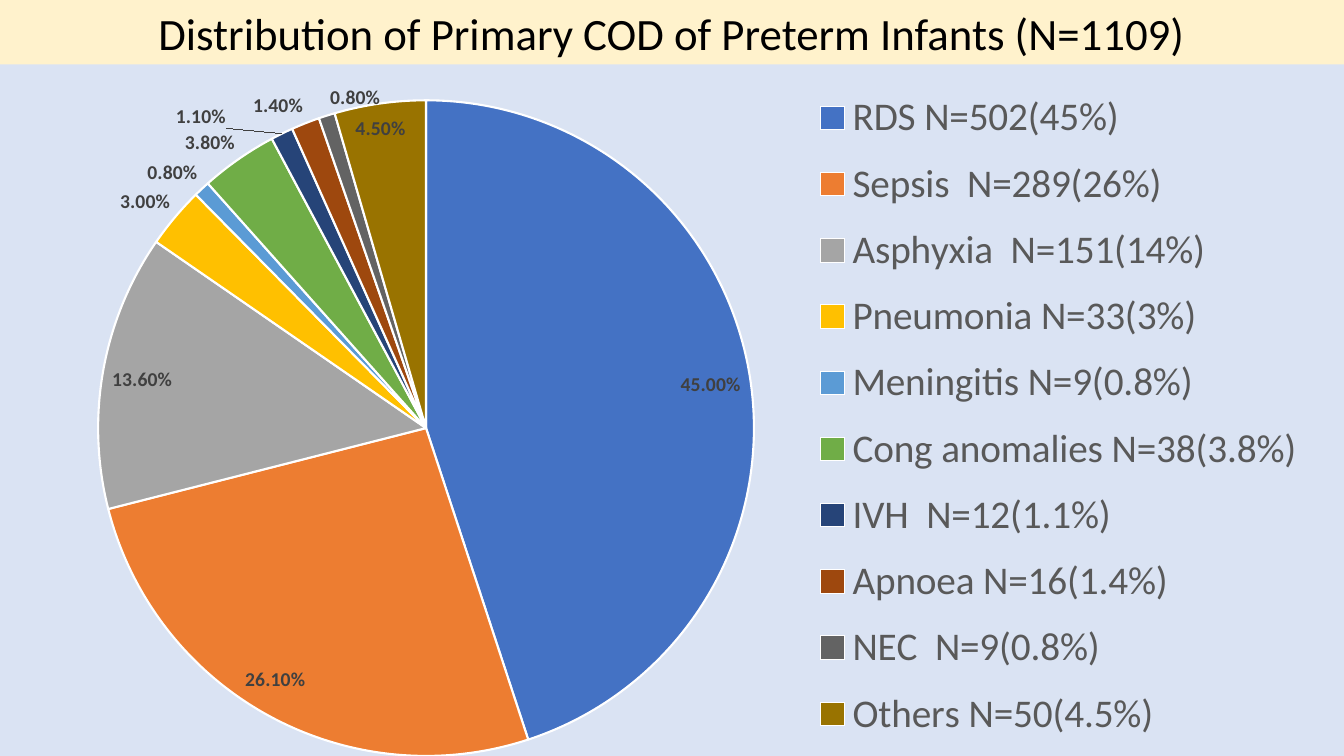
from lxml.etree import SubElement
from pptx import Presentation
from pptx.chart.data import CategoryChartData
from pptx.dml.color import RGBColor
from pptx.enum.chart import XL_CHART_TYPE, XL_LABEL_POSITION, XL_LEGEND_POSITION
from pptx.enum.text import MSO_ANCHOR, PP_ALIGN
from pptx.oxml import parse_xml
from pptx.oxml.ns import nsdecls, qn
from pptx.util import Inches, Pt

BLACK = RGBColor(0x00, 0x00, 0x00)
WHITE = RGBColor(0xFF, 0xFF, 0xFF)
LABEL_GREY = RGBColor(0x40, 0x40, 0x40)
LEGEND_GREY = RGBColor(0x59, 0x59, 0x59)
CREAM = RGBColor(0xFF, 0xF2, 0xCC)
PALE_BLUE = RGBColor(0xDA, 0xE3, 0xF3)

CAUSES = [
    ("RDS N=502(45%)", 0.45, RGBColor(0x44, 0x72, 0xC4)),
    ("Sepsis  N=289(26%)", 0.261, RGBColor(0xED, 0x7D, 0x31)),
    ("Asphyxia  N=151(14%)", 0.136, RGBColor(0xA5, 0xA5, 0xA5)),
    ("Pneumonia N=33(3%)", 0.03, RGBColor(0xFF, 0xC0, 0x00)),
    ("Meningitis N=9(0.8%)", 0.008, RGBColor(0x5B, 0x9B, 0xD5)),
    ("Cong anomalies N=38(3.8%)", 0.038, RGBColor(0x70, 0xAD, 0x47)),
    ("IVH  N=12(1.1%)", 0.011, RGBColor(0x26, 0x44, 0x78)),
    ("Apnoea N=16(1.4%)", 0.014, RGBColor(0x9E, 0x48, 0x0E)),
    ("NEC  N=9(0.8%)", 0.008, RGBColor(0x63, 0x63, 0x63)),
    ("Others N=50(4.5%)", 0.045, RGBColor(0x99, 0x73, 0x00)),
]


def manual_layout(inner=False, **fractions):
    """Build a c:layout element from x, y, w and h as fractions of the chart."""
    layout = parse_xml(f"<c:layout {nsdecls('c')}/>")
    manual = SubElement(layout, qn("c:manualLayout"))
    if inner:
        SubElement(manual, qn("c:layoutTarget")).set("val", "inner")
    for axis in "xy":
        SubElement(manual, qn(f"c:{axis}Mode")).set("val", "edge")
    for side, fraction in fractions.items():
        SubElement(manual, qn(f"c:{side}")).set("val", str(fraction))
    return layout


class SlideBuilder:
    font_name = "Calibri"

    def __init__(self, prs):
        self.slide = prs.slides.add_slide(prs.slide_layouts[5])

    def style_font(self, font, size, color, bold=False):
        font.name = self.font_name
        font.size = Pt(size)
        font.bold = bold
        font.color.rgb = color

    def title(self, text, left, top, width, height):
        title = self.slide.shapes.title
        title.left, title.top = Inches(left), Inches(top)
        title.width, title.height = Inches(width), Inches(height)
        title.fill.solid()
        title.fill.fore_color.rgb = CREAM
        title.text_frame.text = text
        title.text_frame.vertical_anchor = MSO_ANCHOR.MIDDLE
        heading = title.text_frame.paragraphs[0]
        heading.alignment = PP_ALIGN.CENTER
        self.style_font(heading.runs[0].font, 32, BLACK)
        # The title band overlaps the top edge of the chart.
        self.slide.shapes.element.append(title.element)

    def pie(self, causes, left, top, width, height):
        shares = CategoryChartData(number_format="0.00%")
        shares.categories = [name for name, _, _ in causes]
        shares.add_series("Series 1", [share for _, share, _ in causes])
        chart = self.slide.shapes.add_chart(
            XL_CHART_TYPE.PIE, Inches(left), Inches(top),
            Inches(width), Inches(height), shares).chart
        chart.has_title = False
        self.style_font(chart.font, 14, BLACK, bold=True)
        self.fill_background(chart, PALE_BLUE)
        self.slices(chart.plots[0], [color for _, _, color in causes])
        self.legend(chart)
        plot_area = chart.element.chart.plotArea
        for layout in plot_area.findall(qn("c:layout")):
            plot_area.remove(layout)
        plot_area.insert(0, manual_layout(inner=True, x=0.073, y=0.06, w=0.488, h=0.919))

    def fill_background(self, chart, color):
        chart.element.chart.addnext(parse_xml(
            f"<c:spPr {nsdecls('c', 'a')}><a:solidFill><a:srgbClr val=\"{color}\"/>"
            "</a:solidFill><a:ln><a:noFill/></a:ln></c:spPr>"))

    def slices(self, plot, colors):
        plot.vary_by_categories = True
        series = plot.series[0]
        for index, color in enumerate(colors):
            piece = series.points[index].format
            piece.fill.solid()
            piece.fill.fore_color.rgb = color
            piece.line.color.rgb = WHITE
            piece.line.width = Pt(1.5)
        labels = series.data_labels
        labels.show_value = True
        labels.number_format = "0.00%"
        labels.number_format_is_linked = False
        labels.position = XL_LABEL_POSITION.BEST_FIT
        self.style_font(labels.font, 14, LABEL_GREY, bold=True)

    def legend(self, chart):
        chart.has_legend = True
        legend = chart.legend
        legend.position = XL_LEGEND_POSITION.RIGHT
        legend.include_in_layout = False
        self.style_font(legend.font, 28, LEGEND_GREY)
        for layout in legend._element.findall(qn("c:layout")):
            legend._element.remove(layout)
        legend._element.find(qn("c:legendPos")).addnext(
            manual_layout(x=0.595, y=0.025, w=0.385, h=0.955))


def main():
    prs = Presentation()
    prs.slide_width, prs.slide_height = Inches(13.33), Inches(7.5)
    builder = SlideBuilder(prs)
    builder.pie(CAUSES, 0, 0.57, 13.33, 7.08)
    builder.title("Distribution of Primary COD of Preterm Infants (N=1109)",
                  0, 0, 13.33, 0.64)
    prs.save("out.pptx")


if __name__ == "__main__":
    main()
